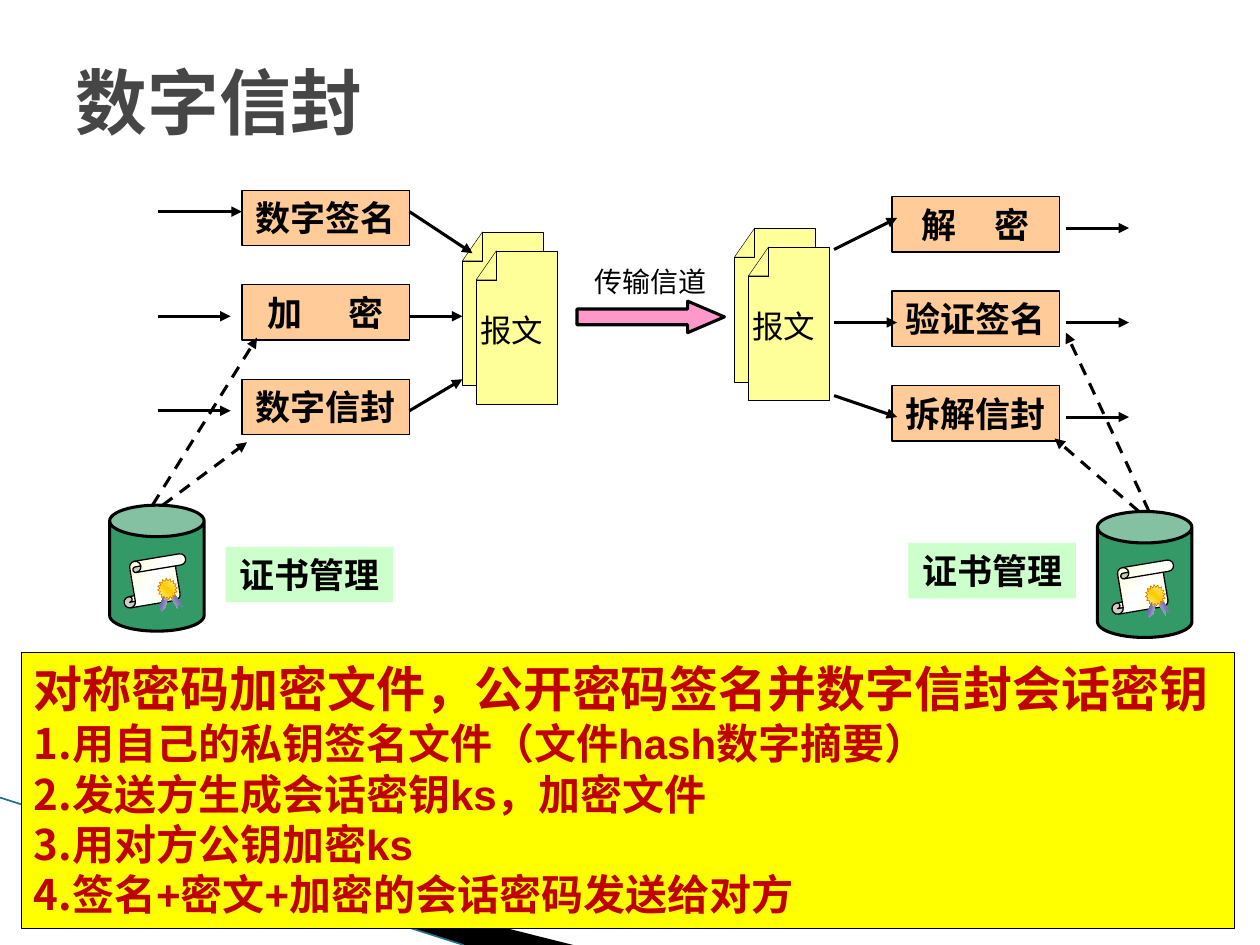
from lxml.etree import SubElement
from pptx import Presentation
from pptx.dml.color import RGBColor
from pptx.enum.dml import MSO_LINE_DASH_STYLE as Dash
from pptx.enum.shapes import MSO_CONNECTOR as Connector, MSO_SHAPE as Shape
from pptx.enum.text import MSO_ANCHOR as Anchor, PP_ALIGN as Align
from pptx.oxml.ns import qn
from pptx.util import Inches, Pt

CJK = "Noto Sans CJK SC"
LABEL_FONT = {"size": Pt(20), "bold": True, "name": "Arial"}
PAGE_FONT = {"size": Pt(18), "name": CJK}
CHANNEL_FONT = {"size": Pt(16), "name": CJK}
TITLE_FONT = {"size": Pt(41), "bold": True, "name": "DejaVu Sans Mono"}
HEADING_FONT = {"size": Pt(28), "bold": True, "name": "Arial"}
STEP_FONT = HEADING_FONT | {"size": Pt(24)}

BOX_WIDTH, BOX_HEIGHT, BOX_PITCH = 1.33, 0.44, 0.75
RIBBON = ((0, "D6D6E3"), (100, "333399"))
PARCHMENT = ((0, "FFFFCC"), (50, "FFFFFF"), (100, "FFFFCC"))
GOLD = ((0, "FFFFCC"), (50, "FFCC00"), (100, "FFFFCC"))

# Offsets are inches from the top left of the column of process boxes.
SENDER = {
    "steps": (("数字签名", 0), ("加 密", 11), ("数字信封", 0)),
    "pages": (1.75, 0.33), "store": (-1.05, 2.5), "caption": (-0.13, 2.83),
    "arrows": ((-0.67, 0.17, 0, 0.17), (-0.67, 1, -0.09, 1), (-0.67, 1.75, -0.09, 1.75),
               (1.33, 0.17, 1.83, 0.5), (1.33, 1, 1.75, 1), (1.33, 1.75, 1.75, 1.5)),
    "key_arrows": ((-0.71, 2.5, 0.12, 1.17), (-0.63, 2.5, 0.04, 2)),
}
RECEIVER = {
    "steps": (("解 密", 8.5), ("验证签名", 0), ("拆解信封", 0)),
    "pages": (-1.25, 0.25), "store": (1.63, 2.5), "caption": (0.13, 2.75),
    "arrows": ((1.38, 0.25, 1.88, 0.25), (1.38, 1, 1.88, 1), (1.38, 1.75, 1.88, 1.75),
               (-0.46, 0.42, 0.04, 0.17), (-0.46, 1, 0.04, 1), (-0.46, 1.58, 0.04, 1.75)),
    "key_arrows": ((2.04, 2.5, 1.38, 1.08), (1.96, 2.5, 1.29, 1.92)),
}


def color(hex_value):
    return RGBColor.from_string(hex_value)


def paint(shape, fill, line=None, width=0.75):
    shape.shadow.inherit = False
    if fill:
        shape.fill.solid()
        shape.fill.fore_color.rgb = color(fill)
    if line:
        shape.line.color.rgb = color(line)
        shape.line.width = Pt(width)
    else:
        shape.line.fill.background()
    return shape


def add_preset(shapes, preset, box, fill=None, line=None, width=0.75):
    return paint(shapes.add_shape(preset, *map(Inches, box)), fill, line, width)


def add_gradient(shape, stops, angle):
    shape.fill.gradient()
    shape.fill.gradient_angle = 360 - angle
    stop_list = shape._element.spPr.find(qn("a:gradFill")).find(qn("a:gsLst"))
    for old_stop in list(stop_list):
        stop_list.remove(old_stop)
    for position, hex_value in stops:
        stop = SubElement(stop_list, qn("a:gs"), pos=str(position * 1000))
        SubElement(stop, qn("a:srgbClr"), val=hex_value)


def add_run(paragraph, text, font, hex_value="000000", spacing=0):
    run = paragraph.add_run()
    run.text = text
    for key, value in font.items():
        setattr(run.font, key, value)
    run.font.color.rgb = color(hex_value)
    properties = run._r.get_or_add_rPr()
    SubElement(properties, qn("a:ea"), typeface=CJK)
    if spacing:
        properties.set("spc", str(int(spacing * 100)))


def format_frame(frame, **values):
    for key, value in ({"word_wrap": True} | values).items():
        setattr(frame, key, value)
    return frame.paragraphs[0]


def add_label(slide, left, top, text, fill, line=None, spacing=0):
    """Centred caption; spacing in points widens the gap between two words."""
    box = (left, top, BOX_WIDTH, BOX_HEIGHT)
    label = add_preset(slide.shapes, Shape.RECTANGLE, box, fill, line)
    paragraph = format_frame(label.text_frame, margin_left=0, margin_right=0,
                             vertical_anchor=Anchor.MIDDLE)
    paragraph.alignment = Align.CENTER
    first, gap, last = text.partition(" ")
    add_run(paragraph, first + gap, LABEL_FONT, spacing=spacing)
    if last:
        add_run(paragraph, last, LABEL_FONT)


def add_line(slide, points, hex_value="000000", width=1.75, dashed=False, arrow=True):
    line = slide.shapes.add_connector(Connector.STRAIGHT, *map(Inches, points))
    line.line.color.rgb = color(hex_value)
    line.line.width = Pt(width)
    if dashed:
        line.line.dash_style = Dash.DASH
    if arrow:
        SubElement(line.line._get_or_add_ln(), qn("a:tailEnd"), type="triangle")
    SubElement(line._element.spPr, qn("a:effectLst"))


def add_outline(shapes, *contours):
    """Freeform from closed contours of points in inches."""
    contours = [[(Inches(x), Inches(y)) for x, y in points] for points in contours]
    builder = shapes.build_freeform(*contours[0][0])
    for points in contours:
        if points is not contours[0]:
            builder.move_to(*points[0])
        builder.add_line_segments(points[1:], close=True)
    return builder.convert_to_shape()


def add_pages(slide, left, top):
    shapes = slide.shapes.add_group_shape().shapes
    fold = ((0.16, 0), (0.16, 0.23), (0, 0.23))
    sheet = ((0.16, 0), (0.64, 0), (0.64, 1.22), (0, 1.22), (0, 0.23), (0.16, 0.23))
    for dx, dy in ((0, 0), (0.11, 0.15)):
        page = add_outline(shapes, *([(left + dx + x, top + dy + y) for x, y in part]
                                     for part in (fold, sheet)))
        paint(page, "FFFF99", "000000", 0.25)
    caption = shapes.add_textbox(*map(Inches, (left + 0.14, top + 0.63, 0.5, 0.3)))
    margins = {f"margin_{side}": 0 for side in ("left", "right", "top", "bottom")}
    paragraph = format_frame(caption.text_frame, **margins | {"word_wrap": False})
    add_run(paragraph, "报文", PAGE_FONT)


def add_store(slide, left, top):
    """Cylinder with a sealed certificate on its front."""
    can = add_preset(slide.shapes, Shape.CAN, (left, top, 0.75, 1), "339966", "000000", 1.75)
    can.adjustments[0] = 0.333
    shapes = slide.shapes.add_group_shape().shapes
    parts = (
        (Shape.VERTICAL_SCROLL, (0.09, 0.42, 0.54, 0.36), 350.5, 0.25, PARCHMENT, 45, "000000", 0.75),
        (Shape.CHEVRON, (0.43, 0.72, 0.17, 0.04), 239.1, 1, RIBBON, 90, None, 0),
        (Shape.CHEVRON, (0.35, 0.74, 0.17, 0.04), 106.7, 1, RIBBON, 90, None, 0),
        (Shape.STAR_16_POINT, (0.38, 0.58, 0.16, 0.17), 352.9, 0.375, GOLD, 315, "CC6600", 0.25),
    )
    for preset, (dx, dy, *size), rotation, adjustment, stops, angle, line, width in parts:
        part = add_preset(shapes, preset, (left + dx, top + dy, *size), None, line, width)
        part.rotation = rotation
        part.adjustments[0] = adjustment
        add_gradient(part, stops, angle)


def add_party(slide, left, top, party):
    """One end of the exchange: steps, message pages and certificate store."""
    def place(name):
        dx, dy = party[name]
        return left + dx, top + dy

    add_store(slide, *place("store"))
    for row, (text, spacing) in enumerate(party["steps"]):
        add_label(slide, left, top + row * BOX_PITCH, text, "FFCC99", "000000", spacing)
    add_pages(slide, *place("pages"))
    add_label(slide, *place("caption"), "证书管理", "CCFFCC")
    for kind in ("arrows", "key_arrows"):
        for x1, y1, x2, y2 in party[kind]:
            add_line(slide, (left + x1, top + y1, left + x2, top + y2), dashed=kind == "key_arrows")


def add_channel(slide, left, top, width):
    arrow = add_preset(slide.shapes, Shape.RIGHT_ARROW, (left, top + 0.34, width, 0.25),
                       "FF99CC", "000000", 1.75)
    arrow.adjustments[0], arrow.adjustments[1] = 0.5, 1.167
    caption = slide.shapes.add_textbox(*map(Inches, (left, top, width, 0.37)))
    paragraph = format_frame(caption.text_frame)
    paragraph.alignment = Align.CENTER
    add_run(paragraph, "传输信道", CHANNEL_FONT)


def add_summary(slide, box, heading, steps):
    panel = add_preset(slide.shapes, Shape.RECTANGLE, box, "FFFF00", "000000")
    paragraph = format_frame(panel.text_frame, vertical_anchor=Anchor.TOP)
    for row, text in enumerate((heading, *steps)):
        if row:
            paragraph = panel.text_frame.add_paragraph()
        paragraph.alignment = Align.LEFT
        properties = paragraph._p.get_or_add_pPr()
        properties.set("marL", str(Inches(0.25)))
        properties.set("indent", str(-Inches(0.25)))
        if row:
            SubElement(properties, qn("a:buFont"), typeface="+mj-lt")
            SubElement(properties, qn("a:buAutoNum"), type="arabicPeriod")
        add_run(paragraph, text, STEP_FONT if row else HEADING_FONT, "C00000")


def set_title(slide, box, text):
    title = slide.shapes.title
    title.left, title.top, title.width, title.height = map(Inches, box)
    title.fill.solid()
    title.fill.fore_color.rgb = color("FFFFFF")
    paragraph = format_frame(title.text_frame, vertical_anchor=Anchor.MIDDLE)
    paragraph.alignment = Align.LEFT
    add_run(paragraph, text, TITLE_FONT, "464646")


def main():
    deck = Presentation()
    deck.slide_width, deck.slide_height = Inches(10), Inches(7.5)
    slide = deck.slides.add_slide(deck.slide_layouts[5])
    set_title(slide, (0.5, 0.3, 9, 1), "数字信封")
    paint(add_outline(slide.shapes, ((0.53, 6.49), (4.55, 7.5), (3.68, 7.5))), "000000")
    add_line(slide, (0, 6.33, 3.68, 7.5), "1F7185", 0.95, arrow=False)
    add_party(slide, 1.92, 1.51, SENDER)
    add_channel(slide, 4.58, 2.05, 1.17)
    add_party(slide, 7.08, 1.56, RECEIVER)
    add_summary(slide, (0.17, 5.18, 9.63, 2.19), "对称密码加密文件，公开密码签名并数字信封会话密钥",
                ("用自己的私钥签名文件（文件hash数字摘要）", "发送方生成会话密钥ks，加密文件",
                 "用对方公钥加密ks", "签名+密文+加密的会话密码发送给对方"))
    deck.save("out.pptx")


if __name__ == "__main__":
    main()
